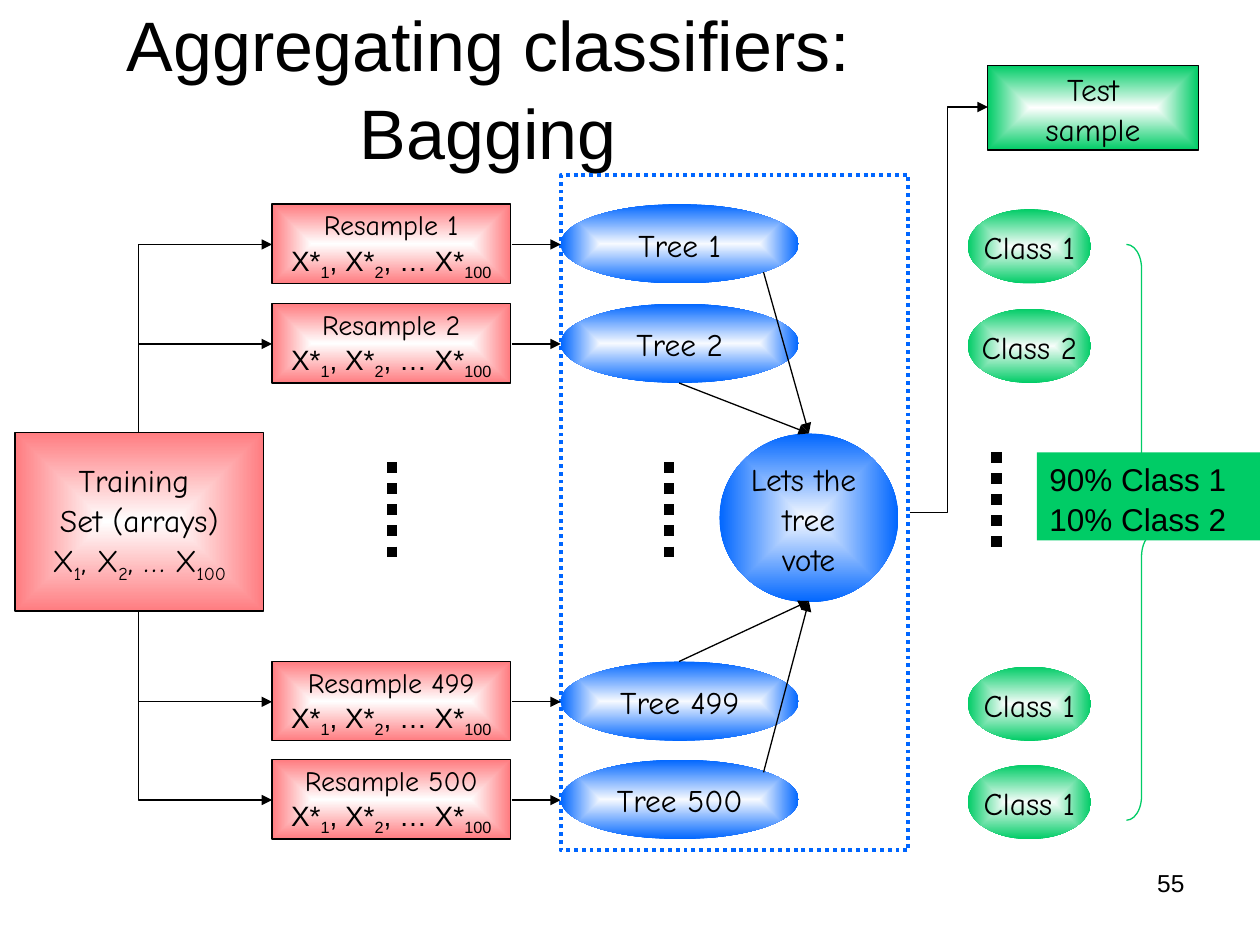
"""Build the slide that explains bagging of tree classifiers."""
from lxml.etree import SubElement
from pptx import Presentation
from pptx.dml.color import RGBColor
from pptx.enum.dml import MSO_LINE
from pptx.enum.shapes import MSO_CONNECTOR as Link, MSO_SHAPE as Shape
from pptx.enum.text import MSO_ANCHOR as Anchor, MSO_AUTO_SIZE as AutoSize, PP_ALIGN as Align
from pptx.oxml.ns import qn
from pptx.util import Inches, Pt

BLACK = RGBColor(0, 0, 0)
WHITE = RGBColor(0xFF, 0xFF, 0xFF)
RED = RGBColor(0xFF, 0x7C, 0x80)
BLUE = RGBColor(0x00, 0x66, 0xFF)
PALE_BLUE = RGBColor(0xF7, 0xFA, 0xFF)
GREEN = RGBColor(0x00, 0xCC, 0x66)
PALE_GREEN = RGBColor(0xF7, 0xFD, 0xFA)
THIN = Pt(0.75)


def write(frame, text, size=18, font="Comic Neue", last_font=None,
          align=Align.CENTER, anchor=Anchor.MIDDLE, wrap=False):
    """Write lines of text, with subscripts between underscores."""
    frame.auto_size = AutoSize.NONE
    frame.word_wrap = wrap
    frame.vertical_anchor = anchor
    lines = text.split("\n")
    for index, line in enumerate(lines):
        para = frame.paragraphs[0] if index == 0 else frame.add_paragraph()
        para.alignment = align
        para.line_spacing = 1.05
        for row_index, row in enumerate(line.split("\v")):
            if row_index:
                para.add_line_break()
            for part_index, part in enumerate(row.split("_")):
                if not part:
                    continue
                span = para.add_run()
                span.text = part
                span.font.size = Pt(size)
                span.font.name = last_font if last_font and index == len(lines) - 1 else font
                span.font.color.rgb = BLACK
                if part_index % 2:
                    span.font._element.set("baseline", "-25000")


def add_node(kind, left, top, width, height, center=None, edge=None, line=None):
    """Add a shape, glowing from center to edge if both are given."""
    node = page.shapes.add_shape(kind, Inches(left), Inches(top), Inches(width), Inches(height))
    node.shadow.inherit = False
    if center is not None:
        node.fill.gradient()
        for stop, color, position in zip(node.fill.gradient_stops, (center, edge), (0, 1)):
            stop.color.rgb = color
            stop.position = position
        gradient = node._element.spPr.find(qn("a:gradFill"))
        gradient.remove(gradient.find(qn("a:lin")))
        glow = SubElement(gradient, qn("a:path"), {"path": "rect"})
        SubElement(glow, qn("a:fillToRect"), dict.fromkeys("ltrb", "50000"))
    elif edge is not None:
        node.fill.solid()
        node.fill.fore_color.rgb = edge
    else:
        node.fill.background()
    if line is not None:
        node.line.color.rgb = line
        node.line.width = THIN
    else:
        node.line.fill.background()
    return node


deck = Presentation()
deck.slide_width, deck.slide_height = Inches(10), Inches(7.5)
page = deck.slides.add_slide(deck.slide_layouts[5])

title = page.shapes.title
title.left, title.top, title.width, title.height = map(Inches, (0.25, 0.05, 7.25, 1.25))
write(title.text_frame, "Aggregating classifiers:\vBagging", size=40, font="Arial", wrap=True)

number = page.shapes.add_textbox(Inches(7.17), Inches(6.83), Inches(2.33), Inches(0.52))
write(number.text_frame, "55", size=14, font="Arial", align=Align.RIGHT,
      anchor=Anchor.TOP, wrap=True)

forest = add_node(Shape.RECTANGLE, 4.45, 1.39, 2.76, 5.36, line=BLUE)
forest.line.width = Pt(2.25)
forest.line.dash_style = MSO_LINE.ROUND_DOT

training = add_node(Shape.FLOWCHART_PROCESS, 0.12, 3.43, 1.97, 1.42, WHITE, RED, BLACK)
write(training.text_frame, "Training \nSet (arrays)\nX_1_, X_2_, … X_100_")
test = add_node(Shape.FLOWCHART_PROCESS, 7.84, 0.52, 1.67, 0.67, WHITE, GREEN, BLACK)
write(test.text_frame, "Test\nsample")
vote = add_node(Shape.OVAL, 5.71, 3.44, 1.42, 1.34, PALE_BLUE, BLUE)
write(vote.text_frame, "Lets the \ntree\nvote")

arrows = [
    ((6.06, 2.16), (6.42, 3.44), "line"),
    ((5.39, 3.04), (6.42, 3.44), "line"),
    ((5.39, 5.25), (6.42, 4.77), "line"),
    ((6.06, 6.13), (6.42, 4.77), "line"),
    ((7.22, 4.07), (7.84, 0.85), "bentConnector3"),
]
rows = [(1.62, 1, 1), (2.41, 2, 2), (5.25, 499, 1), (6.03, 500, 1)]
for top, tree_number, class_number in rows:
    resample = add_node(Shape.FLOWCHART_PROCESS, 2.16, top, 1.89, 0.63, WHITE, RED, BLACK)
    write(resample.text_frame, f"Resample {tree_number}\nX*_1_, X*_2_, … X*_100_",
          size=16, last_font="Arial")
    tree = add_node(Shape.OVAL, 4.45, top, 1.89, 0.63, PALE_BLUE, BLUE)
    write(tree.text_frame, f"Tree {tree_number}")
    result = add_node(Shape.OVAL, 7.68, top + 0.04, 0.98, 0.59, PALE_GREEN, GREEN)
    write(result.text_frame, f"Class {class_number}")
    middle = top + 0.32
    arrows.append(((4.06, middle), (4.45, middle), "line"))
    arrows.append(((2.16, middle), (1.1, 3.43 if top < 3.43 else 4.85), "bentConnector2"))

dots = [((x, y), (x, y + 0.79), "dots") for x, y in ((3.11, 3.67), (5.31, 3.67), (7.91, 3.59))]
for start, end, style in arrows + dots:
    kind = Link.ELBOW if style.startswith("bent") else Link.STRAIGHT
    link = page.shapes.add_connector(kind, *map(Inches, start + end))
    link.line.color.rgb = BLACK
    link.line.width = THIN
    outline = link.line._get_or_add_ln()
    geometry = link._element.spPr.find(qn("a:prstGeom"))
    if style == "dots":
        link.line.width = Pt(6)
        link.line.dash_style = MSO_LINE.ROUND_DOT
    elif style == "bentConnector2":
        geometry.set("prst", style)
        SubElement(outline, qn("a:headEnd"), {"type": "triangle"})
    else:
        SubElement(outline, qn("a:tailEnd"), {"type": "triangle"})
    if style == "bentConnector3":
        SubElement(geometry.find(qn("a:avLst")), qn("a:gd"), {"name": "adj1", "fmla": "val 48500"})
    SubElement(link._element.spPr, qn("a:effectLst"))

brace = add_node(Shape.RIGHT_BRACE, 8.94, 1.94, 0.24, 4.57, line=GREEN)
brace.adjustments[0] = 0.8
verdict = add_node(Shape.RECTANGLE, 8.23, 3.59, 1.85, 0.7, edge=GREEN)
write(verdict.text_frame, "90% Class 1\n10% Class 2", font="Arial", align=Align.LEFT,
      anchor=Anchor.TOP, wrap=True)

deck.save("out.pptx")
